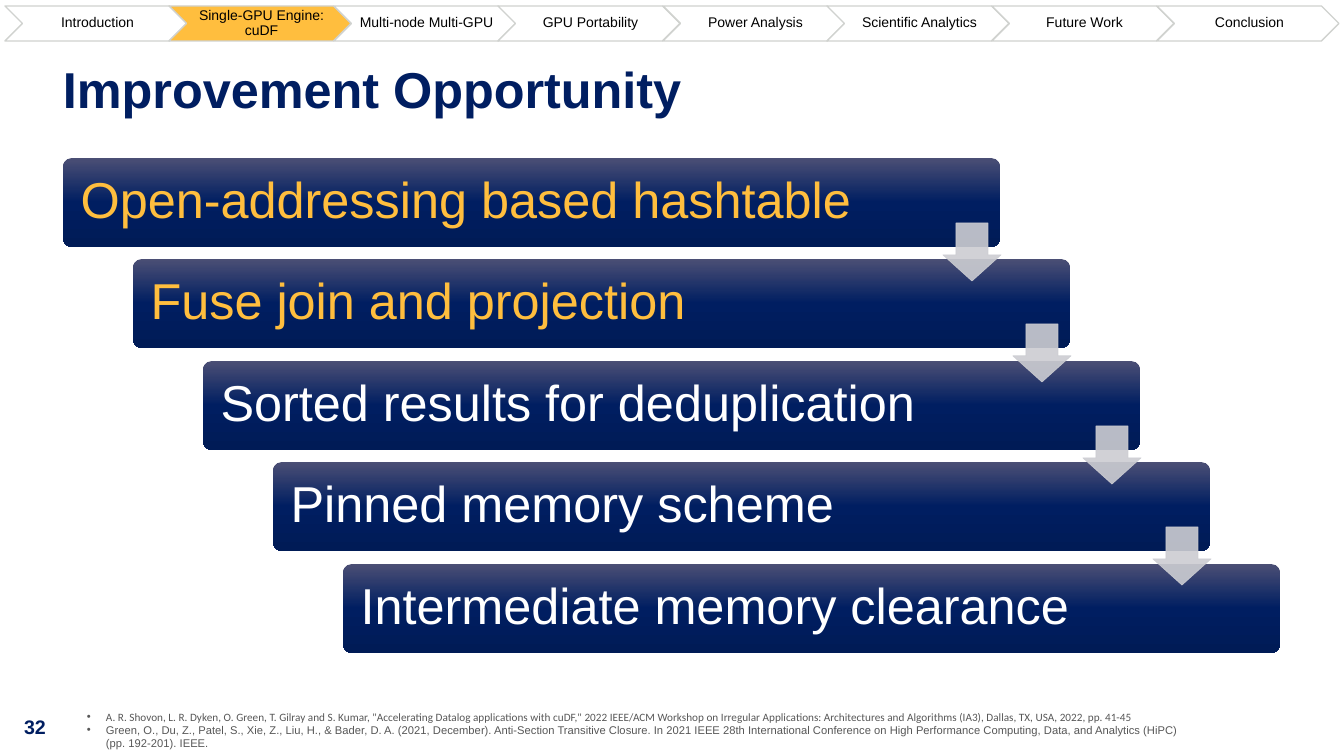
import copy

import lxml.etree
import pptx
import pptx.dml.color
import pptx.enum.shapes
import pptx.enum.text
import pptx.oxml.ns
import pptx.util

RGB = pptx.dml.color.RGBColor
SHAPE = pptx.enum.shapes.MSO_SHAPE
ALIGN = pptx.enum.text.PP_ALIGN
ANCHOR = pptx.enum.text.MSO_ANCHOR
qn = pptx.oxml.ns.qn

NAVY = RGB(0x00, 0x1E, 0x61)
NAVY_LIGHT = RGB(0x4B, 0x4F, 0x75)
NAVY_DARK = RGB(0x00, 0x1B, 0x56)
GOLD = RGB(0xFF, 0xBE, 0x3E)
SILVER = RGB(0xCC, 0xCD, 0xD2)
OUTLINE = RGB(0xD0, 0xD2, 0xCF)
GREY = RGB(0x57, 0x57, 0x57)
WHITE = RGB(0xFF, 0xFF, 0xFF)
BLACK = RGB(0x00, 0x00, 0x00)

SECTIONS = ["Introduction", "Single-GPU Engine: cuDF", "Multi-node Multi-GPU", "GPU Portability",
            "Power Analysis", "Scientific Analytics", "Future Work", "Conclusion"]
CURRENT_SECTION = 1
OPPORTUNITIES = [
    ("Open-addressing based hashtable", GOLD),
    ("Fuse join and projection", GOLD),
    ("Sorted results for deduplication", WHITE),
    ("Pinned memory scheme", WHITE),
    ("Intermediate memory clearance", WHITE),
]
REFERENCES = [
    ('A. R. Shovon, L. R. Dyken, O. Green, T. Gilray and S. Kumar, "Accelerating Datalog applications '
     'with cuDF," 2022 IEEE/ACM Workshop on Irregular Applications: Architectures and Algorithms (IA3), '
     'Dallas, TX, USA, 2022, pp. 41-45', "Calibri"),
    ("Green, O., Du, Z., Patel, S., Xie, Z., Liu, H., & Bader, D. A. (2021, December). Anti-Section "
     "Transitive Closure. In 2021 IEEE 28th International Conference on High Performance Computing, "
     "Data, and Analytics (HiPC) (pp. 192-201). IEEE.", "Arial"),
]


def px(length):
    """Turn pixels into EMU."""
    return pptx.util.Emu(round(length * 914400 / 100.8))


def assign(target, values):
    """Set every attribute named in a dict of format values."""
    for name, value in values.items():
        setattr(target, name, value)


class SlideBuilder:
    """Hold the text style and the current page, and draw its elements."""

    def __init__(self, page):
        self.page = page
        self.font = {"name": "Arial", "bold": False}

    def add_span(self, para, text, size, color, **extra):
        """Add one styled span of text to a paragraph."""
        span = para.add_run()
        span.text = text
        assign(span.font, {**self.font, "size": pptx.util.Pt(size), **extra})
        span.font.color.rgb = color

    def frame(self, box, margins, anchor):
        """Wrap the text of a box within margins and return its first paragraph."""
        left, top, right, bottom = map(px, margins)
        assign(box.text_frame, {"word_wrap": True, "vertical_anchor": anchor, "margin_left": left,
                                "margin_top": top, "margin_right": right, "margin_bottom": bottom})
        return box.text_frame.paragraphs[0]

    def text(self, area, text, size, color, margins, anchor, spacing):
        """Add a bold text box."""
        box = self.page.shapes.add_textbox(*map(px, area))
        para = self.frame(box, margins, anchor)
        para.line_spacing = spacing
        self.add_span(para, text, size, color, bold=True)

    def shape(self, kind, area, adjustments):
        """Add a preset shape without shadow."""
        shape = self.page.shapes.add_shape(kind, *map(px, area))
        shape.shadow.inherit = False
        for index, value in enumerate(adjustments):
            shape.adjustments[index] = value
        return shape

    def section(self, area, text, fill):
        """Add a chevron of the navigation bar."""
        chevron = self.shape(SHAPE.CHEVRON, area, [0.5])
        chevron.fill.solid()
        chevron.fill.fore_color.rgb = fill
        chevron.line.color.rgb = OUTLINE
        chevron.line.width = pptx.util.Pt(1)
        para = self.frame(chevron, (4, 1, 1, 1), ANCHOR.MIDDLE)
        assign(para, {"alignment": ALIGN.CENTER, "line_spacing": 0.9})
        self.add_span(para, text, 10, BLACK)

    def bar(self, area, text, color):
        """Add a rounded step bar with a vertical gradient."""
        bar = self.shape(SHAPE.ROUNDED_RECTANGLE, area, [0.1])
        bar.line.fill.background()
        bar.fill.gradient()
        bar.fill.gradient_angle = 270
        stops = bar._element.spPr.find(".//" + qn("a:gsLst"))
        stops.insert(1, copy.deepcopy(stops[0]))
        for stop, position, shade in zip(bar.fill.gradient_stops, (0, 0.5, 1), (NAVY_LIGHT, NAVY, NAVY_DARK)):
            stop.position = position
            stop.color.rgb = shade
        para = self.frame(bar, (15, 15, 15, 15), ANCHOR.MIDDLE)
        assign(para, {"alignment": ALIGN.LEFT, "line_spacing": 0.9})
        self.add_span(para, text, 36, color)

    def arrow(self, area):
        """Add a slightly transparent down arrow."""
        arrow = self.shape(SHAPE.DOWN_ARROW, area, [0.55, 0.45])
        arrow.fill.solid()
        arrow.fill.fore_color.rgb = SILVER
        arrow.line.color.rgb = SILVER
        arrow.line.width = pptx.util.Pt(0.5)
        for color in arrow._element.spPr.iter(qn("a:srgbClr")):
            lxml.etree.SubElement(color, qn("a:alpha"), val="90000")

    def references(self, area, entries):
        """Add a bulleted list of citations."""
        box = self.page.shapes.add_textbox(*map(px, area))
        para = self.frame(box, (10, 5, 10, 5), ANCHOR.TOP)
        for index, (text, font) in enumerate(entries):
            if index:
                para = box.text_frame.add_paragraph()
            properties = para._p.get_or_add_pPr()
            properties.set("marL", str(px(19)))
            properties.set("indent", str(px(-19)))
            lxml.etree.SubElement(properties, qn("a:buFont"), typeface="Arial")
            lxml.etree.SubElement(properties, qn("a:buChar"), char="•")
            self.add_span(para, text, 8, GREY, name=font)


def main():
    """Build the slide and save it."""
    deck = pptx.Presentation()
    assign(deck, {"slide_width": px(1344), "slide_height": px(756)})
    builder = SlideBuilder(deck.slides.add_slide(deck.slide_layouts[6]))

    builder.text((14, 710, 66, 34), "32", 14, NAVY, (10, 5, 10, 5), ANCHOR.TOP, 1.0)
    builder.text((63, 47, 1217, 90), "Improvement Opportunity", 36, NAVY, (0, 0, 0, 0), ANCHOR.MIDDLE, 0.9)

    for index, (text, color) in enumerate(OPPORTUNITIES):
        builder.bar((63 + 70 * index, 158 + 203 * index // 2, 937, 89), text, color)
    for index in range(len(OPPORTUNITIES) - 1):
        builder.arrow((943 + 70 * index, 223 + 203 * index // 2, 58, 58))

    builder.references((77, 705, 1117, 50), REFERENCES)

    for index, text in enumerate(SECTIONS):
        fill = GOLD if index == CURRENT_SECTION else WHITE
        builder.section((5 + 1152 * index // 7, 6, 182, 35), text, fill)

    deck.save("out.pptx")


if __name__ == "__main__":
    main()
